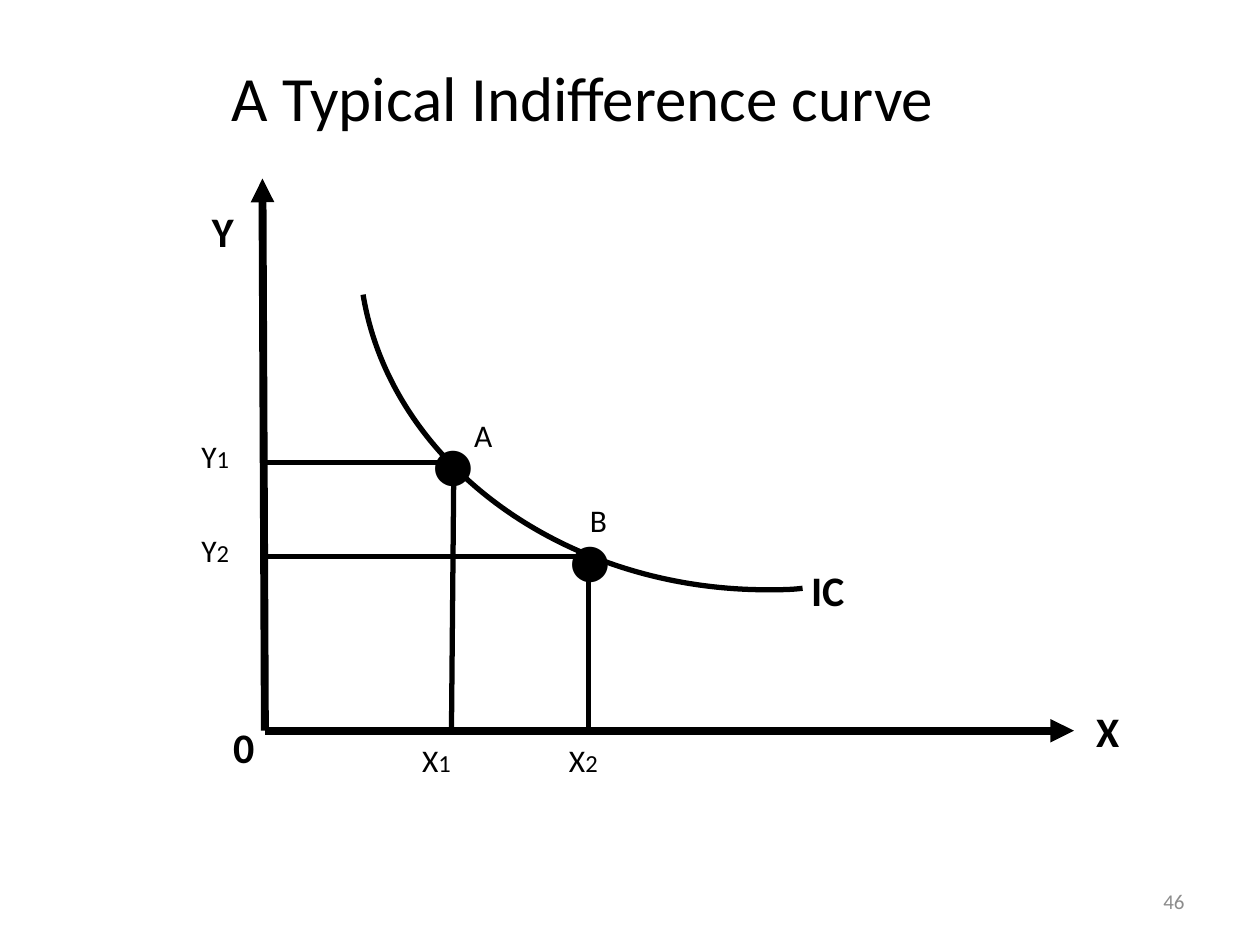
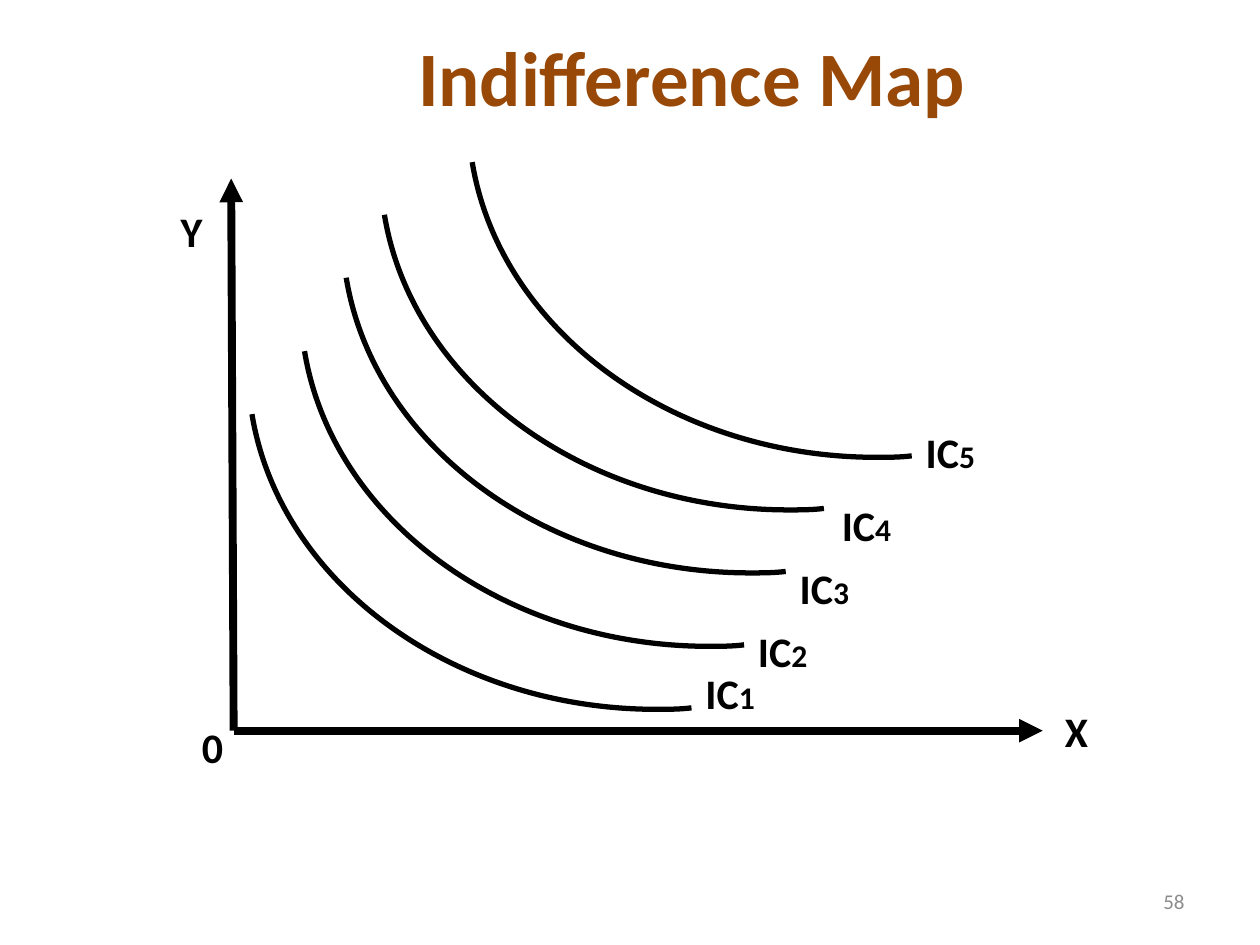
import lxml.etree
import pptx
import pptx.dml.color
import pptx.enum.shapes
import pptx.enum.text
import pptx.oxml.ns
import pptx.util

Cm = pptx.util.Cm
Anchor = pptx.enum.text.MSO_ANCHOR
Align = pptx.enum.text.PP_ALIGN
AutoSize = pptx.enum.text.MSO_AUTO_SIZE
qn = pptx.oxml.ns.qn

BLACK, BROWN, GRAY = "000000", "984807", "8C8C8C"
AXIS_WEIGHT, LINE_WEIGHT = 4.5, 3
BASELINE = 14.73
ARC_CENTER = (8.15, -0.94)
CURVE_CONTROLS = [(0.56, 3.4), (4.04, 5.95), (8.15, 5.95),
                  (8.38, 5.95), (8.63, 5.95), (8.86, 5.92)]


def color(value):
    return pptx.dml.color.RGBColor.from_string(value)


class Diagram:
    """Draw economics diagrams in one style on the current slide."""

    font = "Calibri"

    def __init__(self, presentation):
        self.presentation = presentation
        self.slide = None

    def new_slide(self, number):
        self.slide = self.presentation.slides.add_slide(self.presentation.slide_layouts[6])
        self.text(number, 18.2, 17.65, 5.93, 1.02, 12, fill=GRAY, wrap=True,
                  align=Align.RIGHT, anchor=Anchor.MIDDLE, grow=AutoSize.NONE)

    def text(self, words, left, top, width, height, size, subscript="", subscript_size=14,
             fill=BLACK, bold=False, wrap=False, align=Align.LEFT, anchor=Anchor.TOP,
             grow=AutoSize.SHAPE_TO_FIT_TEXT):
        shape = self.slide.shapes.add_textbox(Cm(left), Cm(top), Cm(width), Cm(height))
        frame = shape.text_frame
        frame.word_wrap = wrap
        frame.auto_size = grow
        frame.vertical_anchor = anchor
        frame.text = words
        paragraph = frame.paragraphs[0]
        paragraph.alignment = align
        if subscript:
            paragraph.add_run().text = subscript
        for run, points in zip(paragraph.runs, (size, subscript_size)):
            run.font.name = self.font
            run.font.size = pptx.util.Pt(points)
            run.font.bold = bold
            run.font.color.rgb = color(fill)

    def title(self, words, left, top, width, height, size, **style):
        self.text(words, left, top, width, height, size, wrap=True, align=Align.CENTER, **style)

    def bold_label(self, words, left, top, width=1.12, subscript=""):
        self.text(words, left, top, width, 1.27, 24, subscript, 18, bold=True)

    def point_label(self, words, left, top, width=1.48, height=1.06, subscript=""):
        self.text(words, left, top, width, height, 18, subscript, wrap=True)

    def dot(self, left, top):
        self.text("•", left, top, 1.09, 2.29, 48, bold=True)

    def line(self, start, end, weight=LINE_WEIGHT, arrow=False):
        connector = self.slide.shapes.add_connector(
            pptx.enum.shapes.MSO_CONNECTOR.STRAIGHT, *map(Cm, start + end))
        connector.line.color.rgb = color(BLACK)
        connector.line.width = pptx.util.Pt(weight)
        properties = connector._element.spPr
        if arrow:
            lxml.etree.SubElement(properties.find(qn("a:ln")), qn("a:tailEnd"), type="triangle")
        lxml.etree.SubElement(properties, qn("a:effectLst"))

    def axes(self, origin):
        corner = (origin, BASELINE)
        self.line(corner, (origin + 16.31, BASELINE), AXIS_WEIGHT, arrow=True)
        self.line(corner, (origin - 0.05, 3.6), AXIS_WEIGHT, arrow=True)
        self.bold_label("Y", origin - 1.32, 4.02)
        self.bold_label("X", origin + 16.51, 14.1)
        self.bold_label("0", origin - 0.89, 14.43, 0.94)

    def curve(self, left, top):
        def place(point):
            return Cm(left + point[0]), Cm(top + point[1])

        builder = self.slide.shapes.build_freeform(*place(ARC_CENTER))
        builder.move_to(*place((0, 0)))
        builder.add_line_segments(map(place, CURVE_CONTROLS), close=False)
        shape = builder.convert_to_shape()
        segments = list(shape._element.iter(qn("a:lnTo")))
        for first in range(0, len(segments), 3):
            cubic = lxml.etree.Element(qn("a:cubicBezTo"))
            segments[first].addprevious(cubic)
            for segment in segments[first:first + 3]:
                cubic.append(segment[0])
                segment.getparent().remove(segment)
        shape.shadow.inherit = False
        shape.fill.background()
        shape.line.color.rgb = color(BLACK)
        shape.line.width = pptx.util.Pt(LINE_WEIGHT)


def draw_typical_curve(diagram):
    diagram.new_slide("46")
    diagram.axes(5.34)
    diagram.curve(7.32, 5.94)
    diagram.bold_label("IC", 16.1, 11.25, 1.45)
    for left, top in ((8.47, 8.11), (11.23, 10.04)):
        diagram.dot(left, top)
    for start, end in (((9.1, 9.32), (5.29, 9.32)), ((12.07, 11.22), (5.29, 11.22)),
                       ((9.15, 9.25), (9.1, 14.81)), ((11.86, 11.22), (11.86, 14.81))):
        diagram.line(start, end)
    for letter, subscript, left, top in (("Y", "1", 3.81, 8.68), ("Y", "2", 3.81, 10.58),
                                         ("X", "1", 8.26, 14.82), ("X", "2", 11.22, 14.82)):
        diagram.point_label(letter, left, top, subscript=subscript)
    diagram.point_label("A", 9.31, 8.26, 0.85, 1.03)
    diagram.point_label("B", 11.64, 9.98, 0.85, 1.03)
    diagram.title("A Typical Indifference curve", 3.81, 1.06, 15.88, 1.8, 36)


def draw_indifference_map(diagram):
    diagram.new_slide("58")
    diagram.axes(4.71)
    diagram.title("Indifference Map", 6.71, 0.48, 14.48, 2.14, 44, fill=BROWN, bold=True)
    curves = [
        ((5.08, 8.35), (13.97, 13.34)),
        ((6.14, 7.08), (15.03, 12.49)),
        ((6.98, 5.6), (15.87, 11.22)),
        ((7.75, 4.33), (16.72, 9.95)),
        ((9.52, 3.27), (18.41, 8.47)),
    ]
    for number, (start, label) in enumerate(curves, 1):
        diagram.curve(*start)
        diagram.bold_label("IC", *label, 1.55, str(number))


def main():
    presentation = pptx.Presentation()
    presentation.slide_width = Cm(25.4)
    presentation.slide_height = Cm(19.05)
    diagram = Diagram(presentation)
    draw_typical_curve(diagram)
    draw_indifference_map(diagram)
    presentation.save("out.pptx")


if __name__ == "__main__":
    main()
